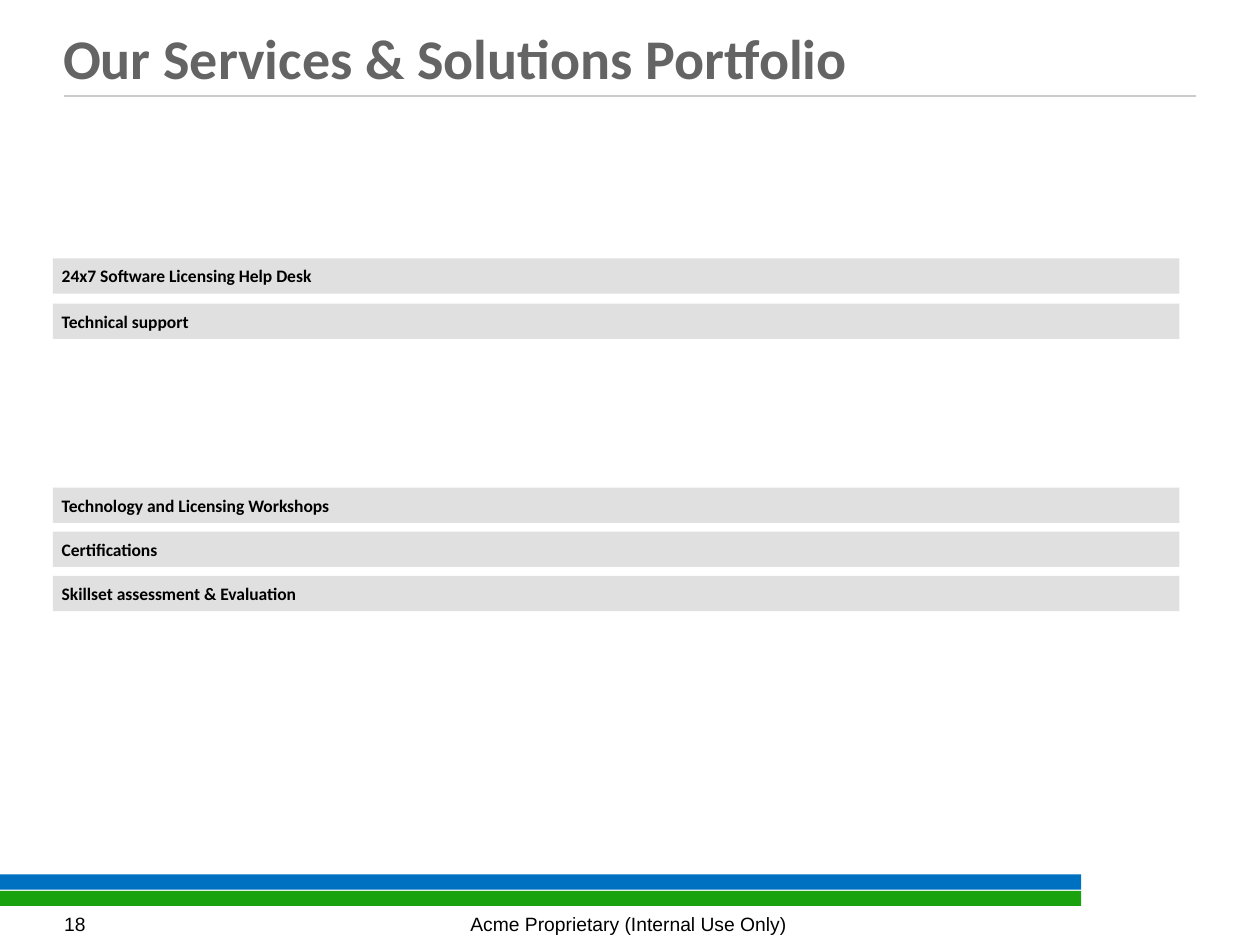
"""Build the services and solutions portfolio slide."""
from dataclasses import dataclass

import pptx
import pptx.dml.color
import pptx.enum.shapes
import pptx.enum.text
import pptx.oxml
import pptx.oxml.ns
import pptx.util

Inches = pptx.util.Inches
Pt = pptx.util.Pt
Align = pptx.enum.text.PP_ALIGN
Anchor = pptx.enum.text.MSO_ANCHOR


@dataclass(frozen=True)
class Box:
    left: float
    top: float
    width: float
    height: float

    def lengths(self) -> tuple:
        return tuple(Inches(n) for n in (self.left, self.top, self.width, self.height))


@dataclass(frozen=True)
class ServiceGroup:
    top: float
    pitch: float
    services: tuple[str, ...]


FOOTER_STRIPES = ((6.94, "0070C0"), (7.07, "19A20E"))
SERVICE_GROUPS = (
    ServiceGroup(2.05, 0.36, ("24x7 Software Licensing Help Desk", "Technical support")),
    ServiceGroup(3.87, 0.35, (
        "Technology and Licensing Workshops",
        "Certifications",
        "Skillset assessment & Evaluation",
    )),
)


def color(value: str) -> pptx.dml.color.RGBColor:
    return pptx.dml.color.RGBColor.from_string(value)


def write_text(shape, text: str, *, size: float, font: str = "Arial", fill: str = "000000",
               bold: bool = False, align=Align.LEFT, anchor=Anchor.MIDDLE,
               inset: tuple[float, float] = (0, 0), line_spacing: float = 1.0,
               space_before: float = 0) -> None:
    frame = shape.text_frame
    frame.word_wrap = True
    frame.vertical_anchor = anchor
    frame.margin_left = frame.margin_right = Inches(inset[0])
    frame.margin_top = frame.margin_bottom = Inches(inset[1])
    paragraph = frame.paragraphs[0]
    paragraph.alignment = align
    paragraph.line_spacing = line_spacing
    paragraph.space_before = Pt(space_before)
    run = paragraph.add_run()
    run.text = text
    run.font.name = font
    run.font.size = Pt(size)
    run.font.bold = bold
    run.font.color.rgb = color(fill)


def add_bar(slide, box: Box, fill: str):
    shape = slide.shapes.add_shape(pptx.enum.shapes.MSO_SHAPE.RECTANGLE, *box.lengths())
    shape.shadow.inherit = False
    shape.fill.solid()
    shape.fill.fore_color.rgb = color(fill)
    shape.line.fill.background()
    return shape


def add_label(slide, box: Box, text: str, **text_format) -> None:
    write_text(slide.shapes.add_textbox(*box.lengths()), text, **text_format)


def add_title_rule(slide) -> None:
    rule = slide.shapes.add_connector(
        pptx.enum.shapes.MSO_CONNECTOR.STRAIGHT,
        Inches(0.51), Inches(0.76), Inches(9.49), Inches(0.76))
    rule.line.color.rgb = color("CCCCCC")
    rule.line.width = Pt(1)
    properties = rule._element.spPr
    properties.append(pptx.oxml.parse_xml(f"<a:effectLst {pptx.oxml.ns.nsdecls('a')}/>"))


def add_service_group(slide, group: ServiceGroup) -> None:
    for index, service in enumerate(group.services):
        bar = add_bar(slide, Box(0.42, group.top + index * group.pitch, 8.94, 0.28), "E0E0E0")
        write_text(bar, service, size=10, font="Calibri", bold=True,
                   inset=(0.07, 0.04), space_before=2.5)


def main() -> None:
    presentation = pptx.Presentation()
    presentation.slide_width = Inches(10)
    presentation.slide_height = Inches(7.5)
    slide = presentation.slides.add_slide(presentation.slide_layouts[6])
    for top, fill in FOOTER_STRIPES:
        add_bar(slide, Box(0, top, 8.58, 0.12), fill)
    add_title_rule(slide)
    add_label(slide, Box(0.5, 0.27, 8.98, 0.49), "Our Services & Solutions Portfolio",
              size=32, font="Calibri", fill="646464", bold=True,
              anchor=Anchor.TOP, line_spacing=0.85)
    add_label(slide, Box(0.51, 7.24, 0.87, 0.18), "18", size=11)
    for group in SERVICE_GROUPS:
        add_service_group(slide, group)
    add_label(slide, Box(3.11, 7.24, 3.76, 0.18), "Acme Proprietary (Internal Use Only)",
              size=11, align=Align.CENTER)
    presentation.save("out.pptx")


if __name__ == "__main__":
    main()
